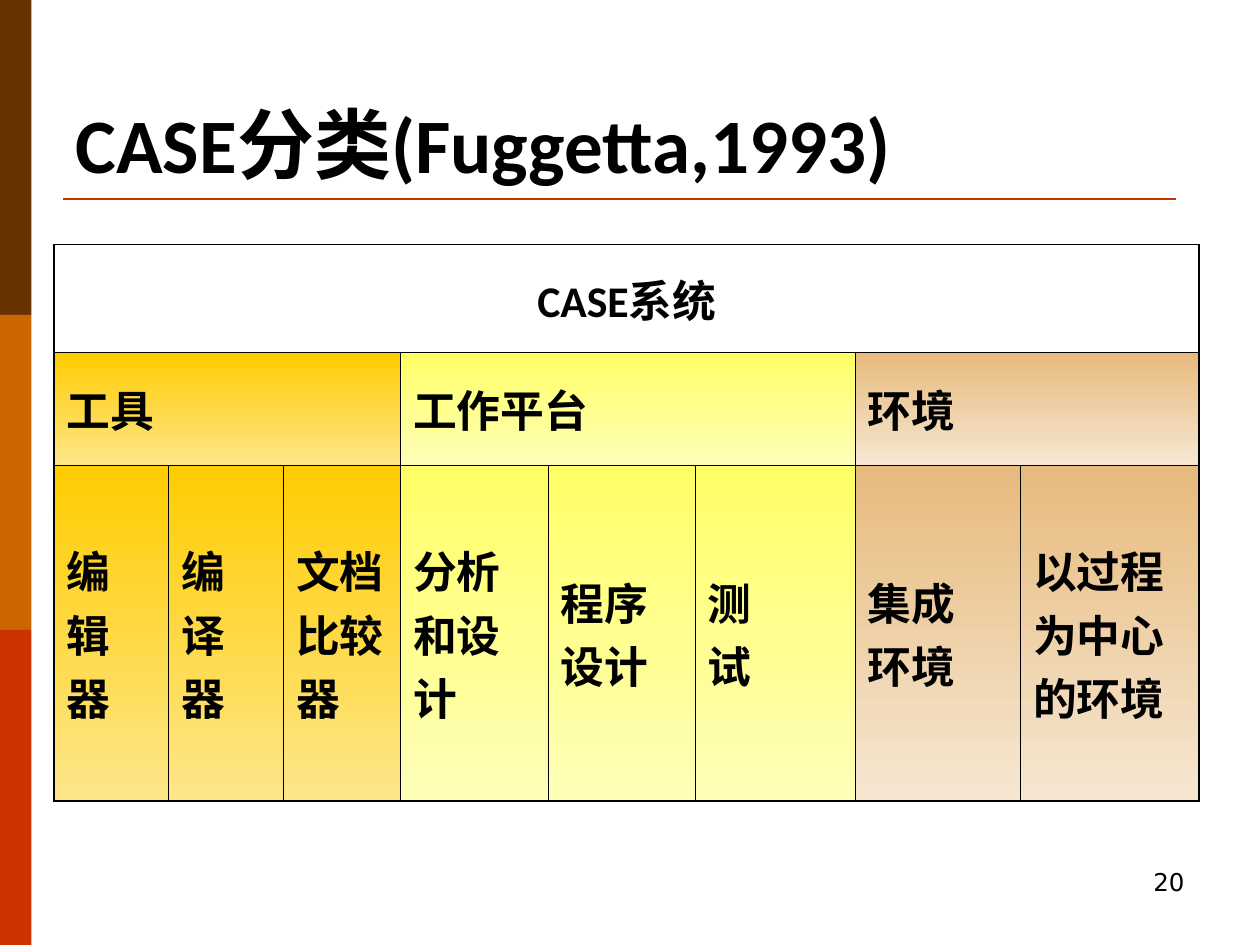
from lxml import etree
from pptx import Presentation
from pptx import util as u
from pptx.dml.color import RGBColor
from pptx.enum import shapes, text
from pptx.oxml.ns import qn

COLORS = {
    "black": "000000",
    "brown": "663300",
    "orange": "CC6600",
    "red": "CC3300",
}
GRADIENTS = {
    "tools": ("FFCC00", "FEE68A"),
    "workbenches": ("FFFF66", "FEFEB8"),
    "environments": ("E7BA7D", "F6E7D2"),
}
# Each group: heading, gradient, and the paragraphs of each member cell
GROUPS = [
    ("工具", "tools", [["编", "辑", "器"], ["编", "译", "器"], ["文档", "比较", "器"]]),
    ("工作平台", "workbenches", [["分析", "和设", "计"], ["程序", "设计"], ["测", "试"]]),
    ("环境", "environments", [["集成", "环境"], ["以过程为中心的环境"]]),
]
COLUMN_WIDTHS = [0.91, 0.91, 0.93, 1.17, 1.17, 1.27, 1.31, 1.42]
ROW_HEIGHTS = [0.86, 0.89, 2.67]
THIN, THICK = 0.45, 1.08


def rgb(name):
    return RGBColor.from_string(COLORS[name])


def write(frame, lines, size, font="Calibri", bold=True, align=text.PP_ALIGN.LEFT):
    for index, line in enumerate(lines):
        paragraph = frame.paragraphs[0] if index == 0 else frame.add_paragraph()
        paragraph.alignment = align
        run = paragraph.add_run()
        run.text = line
        run.font.name = font
        run.font.size = u.Pt(size)
        run.font.bold = bold
        run.font.color.rgb = rgb("black")


def add_side_bar(slide, top, color):
    bar = slide.shapes.add_shape(
        shapes.MSO_SHAPE.RECTANGLE, 0, u.Inches(top), u.Inches(0.25), u.Inches(2.5))
    bar.shadow.inherit = False
    bar.fill.solid()
    bar.fill.fore_color.rgb = rgb(color)
    bar.line.fill.background()


def add_title_rule(slide):
    rule = slide.shapes.add_connector(
        shapes.MSO_CONNECTOR.STRAIGHT,
        u.Inches(0.5), u.Inches(1.58), u.Inches(9.33), u.Inches(1.58))
    rule.line.color.rgb = rgb("red")
    rule.line.width = u.Pt(1.5)
    etree.SubElement(rule._element.spPr, qn("a:effectLst"))


def set_title(slide, title):
    shape = slide.shapes.title
    shape.left, shape.top = u.Inches(0.5), u.Inches(0.3)
    shape.width, shape.height = u.Inches(9), u.Inches(1.25)
    shape.text_frame.vertical_anchor = text.MSO_ANCHOR.BOTTOM
    write(shape.text_frame, [title], 44)


def add_page_number(slide, number):
    box = slide.shapes.add_textbox(
        u.Inches(7.17), u.Inches(6.83), u.Inches(2.33), u.Inches(0.5))
    box.text_frame.word_wrap = True
    write(box.text_frame, [number], 14, "DejaVu Sans", False, text.PP_ALIGN.RIGHT)


def set_borders(cell, widths):
    """Draw left, right, top and bottom borders; they must precede the fill."""
    properties = cell._tc.get_or_add_tcPr()
    for index, (side, width) in enumerate(zip("LRTB", widths)):
        line = etree.Element(qn(f"a:ln{side}"), w=str(u.Pt(width)))
        fill = etree.SubElement(line, qn("a:solidFill"))
        etree.SubElement(fill, qn("a:srgbClr"), val=COLORS["black"])
        properties.insert(index, line)


def fill_cell(cell, gradient):
    if gradient is None:
        cell.fill.background()
        return
    cell.fill.gradient()
    cell.fill.gradient_angle = 270  # counter-clockwise, so top to bottom
    for stop, color in zip(cell.fill.gradient_stops, GRADIENTS[gradient]):
        stop.color.rgb = RGBColor.from_string(color)


def set_cell(table, row, column, lines, gradient=None, span=1, align=text.PP_ALIGN.LEFT):
    """Fill one cell, merged over span columns, with thick lines on the table's edge."""
    end = column + span
    at_edge = (column == 0, end == len(COLUMN_WIDTHS),
               row == 0, row == len(ROW_HEIGHTS) - 1)
    widths = [THICK if edge else THIN for edge in at_edge]
    for position in range(column, end):
        part = table.cell(row, position)
        fill_cell(part, gradient)
        set_borders(part, widths)
    cell = table.cell(row, column)
    if span > 1:
        cell.merge(table.cell(row, end - 1))
    cell.vertical_anchor = text.MSO_ANCHOR.MIDDLE
    write(cell.text_frame, lines, 25, align=align)


def add_case_table(slide):
    table = slide.shapes.add_table(
        len(ROW_HEIGHTS), len(COLUMN_WIDTHS), u.Inches(0.43), u.Inches(1.94),
        u.Inches(sum(COLUMN_WIDTHS)), u.Inches(sum(ROW_HEIGHTS))).table
    table.first_row = table.horz_banding = False
    for column, width in zip(table.columns, COLUMN_WIDTHS):
        column.width = u.Inches(width)
    for row, height in zip(table.rows, ROW_HEIGHTS):
        row.height = u.Inches(height)

    set_cell(table, 0, 0, ["CASE系统"], span=len(COLUMN_WIDTHS),
             align=text.PP_ALIGN.CENTER)
    first = 0
    for heading, gradient, members in GROUPS:
        set_cell(table, 1, first, [heading], gradient, span=len(members))
        for offset, lines in enumerate(members):
            set_cell(table, 2, first + offset, lines, gradient)
        first += len(members)


def main():
    presentation = Presentation()
    presentation.slide_width = u.Inches(10)
    presentation.slide_height = u.Inches(7.5)
    slide = presentation.slides.add_slide(presentation.slide_layouts[5])
    for index, color in enumerate(["brown", "orange", "red"]):
        add_side_bar(slide, index * 2.5, color)
    add_title_rule(slide)
    set_title(slide, "CASE分类(Fuggetta,1993)")
    add_case_table(slide)
    add_page_number(slide, "20")
    presentation.save("out.pptx")


if __name__ == "__main__":
    main()
